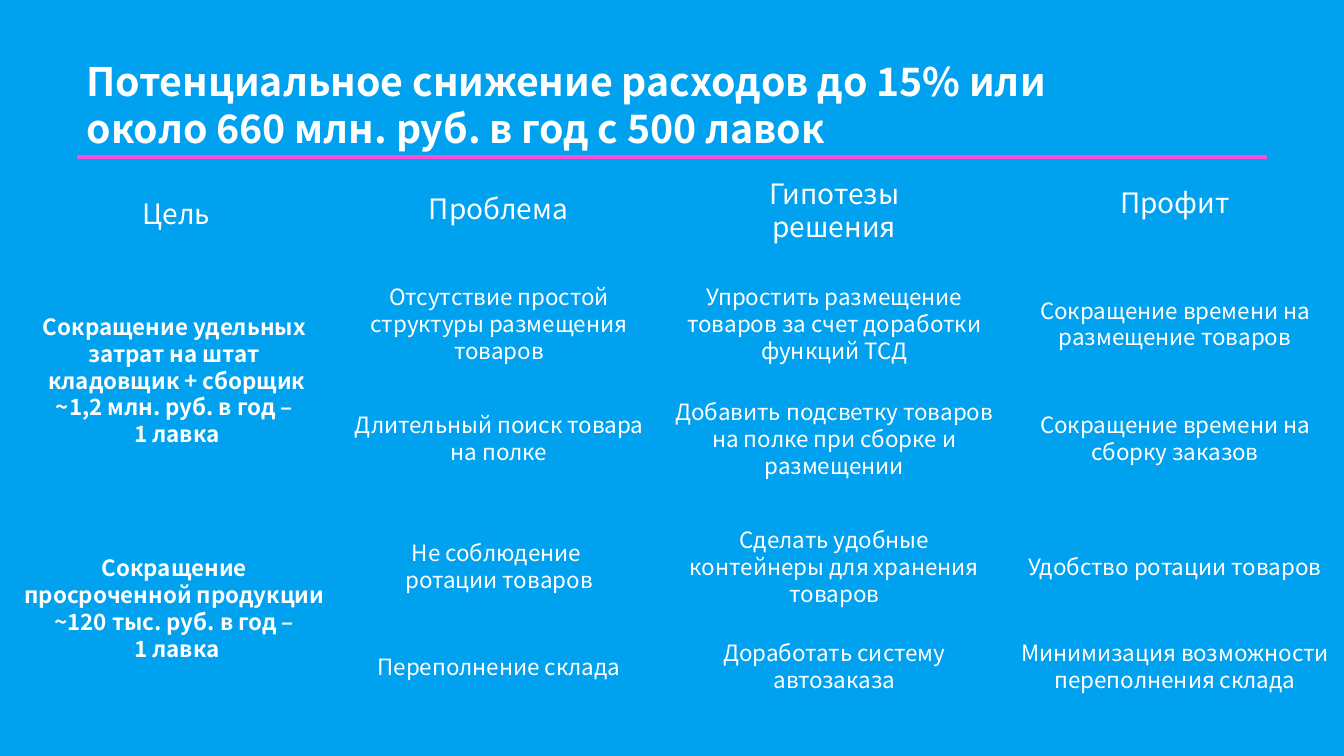
from pptx import Presentation
from pptx.dml.color import RGBColor
from pptx.enum.shapes import MSO_CONNECTOR, MSO_SHAPE
from pptx.enum.text import MSO_ANCHOR, MSO_AUTO_SIZE, PP_ALIGN
from pptx.oxml.ns import qn
from pptx.util import Inches, Pt
from lxml import etree

CENTER, LEFT = PP_ALIGN.CENTER, PP_ALIGN.LEFT
MIDDLE, TOP = MSO_ANCHOR.MIDDLE, MSO_ANCHOR.TOP
FIT_SHAPE = MSO_AUTO_SIZE.SHAPE_TO_FIT_TEXT
STRAIGHT = MSO_CONNECTOR.STRAIGHT
RECTANGLE = MSO_SHAPE.RECTANGLE

BLUE = RGBColor(0x00, 0xA1, 0xEF)
PINK = RGBColor(0xFF, 0x4F, 0xD9)
WHITE = RGBColor(0xFF, 0xFF, 0xFF)
FONT = "Noto Sans CJK SC"

# Content
TITLE = "Потенциальное снижение расходов до 15% или около 660 млн. руб. в год с 500 лавок"

# Text, left, centre y, width, line count
HEADERS = [
    ("Цель", 0.85, 2.12, 1.8, 1),
    ("Проблема", 3.55, 2.07, 2.79, 1),
    ("Гипотезы решения", 7.09, 2.08, 2.37, 2),
    ("Профит", 10.56, 2.01, 2.19, 1),
]

# Text, centre y, line count
GOALS = [
    ("Сокращение удельных \nзатрат на штат \nкладовщик + сборщик\n"
     "~1,2 млн. руб. в год – \n1 лавка", 3.78, 5),
    ("Сокращение \nпросроченной продукции \n~120 тыс. руб. в год – \n1 лавка", 6.04, 4),
]

# Each row: problem, hypothesis, profit, as text and line count
ROWS = [
    [("Отсутствие простой структуры размещения товаров", 3),
     ("Упростить размещение товаров за счет доработки функций ТСД", 3),
     ("Сокращение времени на размещение товаров", 2)],
    [("Длительный поиск товара на полке", 2),
     ("Добавить подсветку товаров на полке при сборке и размещении", 3),
     ("Сокращение времени на сборку заказов", 2)],
    [("Не соблюдение \nротации товаров", 2),
     ("Сделать удобные контейнеры для хранения товаров", 3),
     ("Удобство ротации товаров", 1)],
    [("Переполнение склада", 1),
     ("Доработать систему автозаказа", 2),
     ("Минимизация возможности переполнения склада", 2)],
]

# Layout in inches
ROW_CENTERS = [3.21, 4.35, 5.62, 6.61]
COLUMNS = [(3.4, 3.1), (6.57, 3.41), (9.95, 3.41)]  # left, width
GOAL_LEFT, GOAL_WIDTH = -0.13, 3.77
LINE_HEIGHT = {16: 0.27, 20: 0.34}
PADDING = 0.1


def add_text(slide, text, left, top, width, height, size,
             bold=False, align=CENTER, anchor=MIDDLE):
    box = slide.shapes.add_textbox(Inches(left), Inches(top), Inches(width), Inches(height))
    frame = box.text_frame
    frame.word_wrap = True
    frame.auto_size = FIT_SHAPE
    frame.vertical_anchor = anchor
    paragraph = frame.paragraphs[0]
    paragraph.alignment = align
    for index, line in enumerate(text.split("\n")):
        if index:
            paragraph.add_line_break()
        run = paragraph.add_run()
        run.text = line
        run.font.name = FONT
        run.font.size = Pt(size)
        run.font.bold = bold
        run.font.color.rgb = WHITE


def add_centered(slide, text, left, center_y, width, lines, size, **style):
    height = PADDING + lines * LINE_HEIGHT[size]
    add_text(slide, text, left, center_y - height / 2, width, height, size, **style)


presentation = Presentation()
presentation.slide_width = Inches(13.33)
presentation.slide_height = Inches(7.5)
slide = presentation.slides.add_slide(presentation.slide_layouts[6])

# Blue backdrop, bleeding over the slide edges
backdrop = slide.shapes.add_shape(
    RECTANGLE, Inches(-0.22), Inches(0), Inches(13.78), Inches(7.87))
backdrop.shadow.inherit = False
backdrop.fill.solid()
backdrop.fill.fore_color.rgb = BLUE
backdrop.line.fill.background()

# Title and underline
add_text(slide, TITLE, 0.76, 0.52, 9.84, 1.04, 28, bold=True, align=LEFT, anchor=TOP)
underline = slide.shapes.add_connector(
    STRAIGHT, Inches(0.76), Inches(1.56), Inches(12.57), Inches(1.56))
underline.line.color.rgb = PINK
underline.line.width = Pt(3)
etree.SubElement(underline._element.spPr, qn("a:effectLst"))

# Column headers
for text, left, center_y, width, lines in HEADERS:
    add_centered(slide, text, left, center_y, width, lines, 20)

# Goals
for text, center_y, lines in GOALS:
    add_centered(slide, text, GOAL_LEFT, center_y, GOAL_WIDTH, lines, 16,
                 bold=True, anchor=TOP)

# Problems, hypotheses and profits
for center_y, row in zip(ROW_CENTERS, ROWS):
    for (left, width), (text, lines) in zip(COLUMNS, row):
        add_centered(slide, text, left, center_y, width, lines, 16)

presentation.save("out.pptx")
